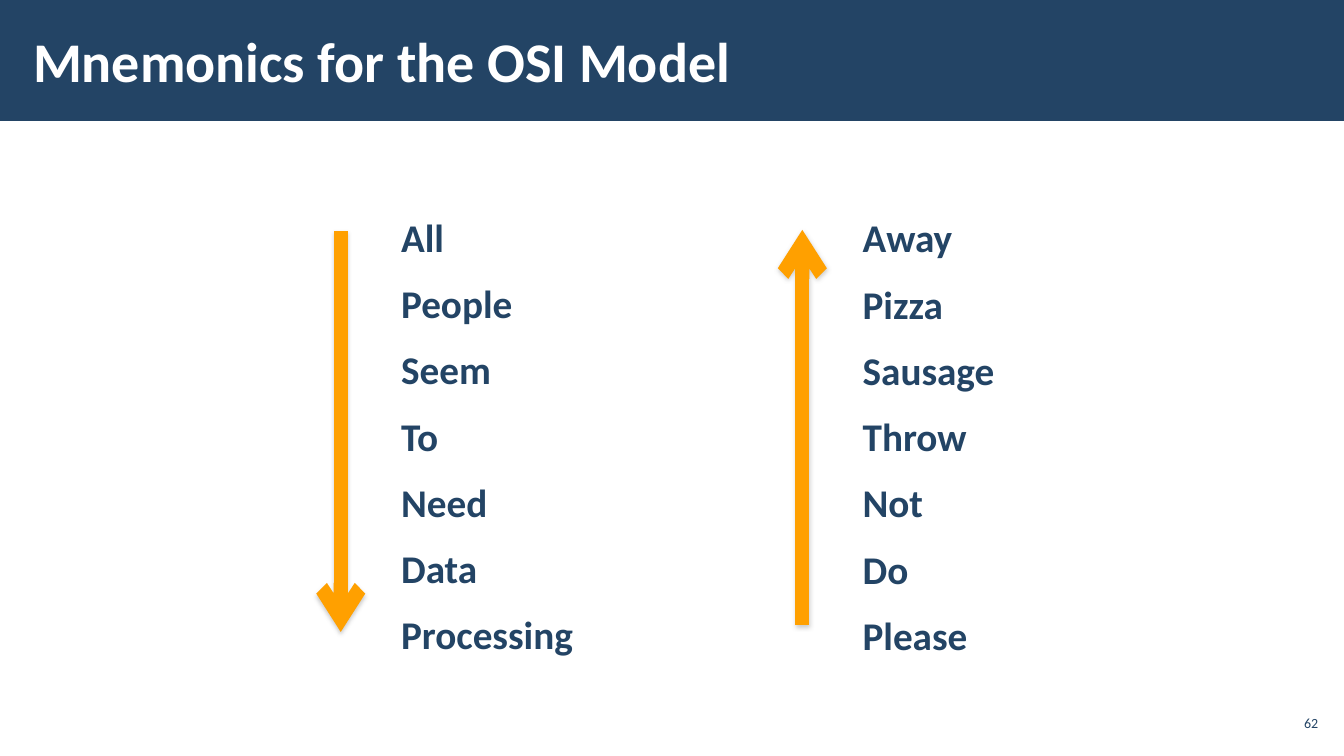
from lxml.etree import SubElement
from pptx import Presentation
from pptx.dml.color import RGBColor
from pptx.enum.shapes import MSO_CONNECTOR, MSO_SHAPE
from pptx.enum.text import MSO_ANCHOR, PP_ALIGN
from pptx.oxml.ns import qn
from pptx.util import Pt

COLORS = {"navy": "234465", "white": "FFFFFF", "amber": "FFA000", "shadow": "808080"}
FONT = "Calibri"
PAGE_WIDTH, PAGE_HEIGHT = 960, 540
TOP_DOWN = ["All", "People", "Seem", "To", "Need", "Data", "Processing"]
BOTTOM_UP = ["Away", "Pizza", "Sausage", "Throw", "Not", "Do", "Please"]


def color(name):
    return RGBColor.from_string(COLORS[name])


def set_font(para, size, color_name, bold=False):
    para.font.name = FONT
    para.font.size = Pt(size)
    para.font.bold = bold
    para.font.color.rgb = color(color_name)


def add_text_frame(page, left, top, width, height, anchor=MSO_ANCHOR.TOP):
    box = page.shapes.add_textbox(Pt(left), Pt(top), Pt(width), Pt(height))
    frame = box.text_frame
    frame.word_wrap = True
    frame.vertical_anchor = anchor
    return frame


def add_title_band(page, left, top, width, height):
    band = page.shapes.add_shape(MSO_SHAPE.RECTANGLE, Pt(left), Pt(top), Pt(width), Pt(height))
    band.shadow.inherit = False
    band.fill.solid()
    band.fill.fore_color.rgb = color("navy")
    band.line.fill.background()

    frame = add_text_frame(page, left + 15, top + 8, 749, height - 16.4, MSO_ANCHOR.MIDDLE)
    frame.margin_left = frame.margin_right = Pt(8.64)
    para = frame.paragraphs[0]
    para.text = "Mnemonics for the OSI Model"
    set_font(para, 40, "white", bold=True)


def add_page_number(page, left, top, width, height):
    frame = add_text_frame(page, left, top, width, height, MSO_ANCHOR.MIDDLE)
    frame.margin_left = frame.margin_right = Pt(3)
    para = frame.paragraphs[0]
    para.text = "62"
    para.alignment = PP_ALIGN.RIGHT
    set_font(para, 10, "navy")


def add_arrow(page, x, start_y, end_y):
    arrow = page.shapes.add_connector(
        MSO_CONNECTOR.STRAIGHT, Pt(x), Pt(start_y), Pt(x), Pt(end_y))
    arrow.line.color.rgb = color("amber")
    arrow.line.width = Pt(10)
    SubElement(arrow.line._get_or_add_ln(), qn("a:tailEnd"), type="arrow")

    # Soft shadow below the arrow
    effects = SubElement(arrow._element.spPr, qn("a:effectLst"))
    shadow = SubElement(effects, qn("a:outerShdw"), blurRad=str(Pt(3.1)),
                        dist=str(Pt(1.6)), dir="5400000", rotWithShape="0")
    tint = SubElement(shadow, qn("a:srgbClr"), val=COLORS["shadow"])
    SubElement(tint, qn("a:alpha"), val="38000")


def add_mnemonic(page, left, top, width, height, words, arrow_start, arrow_end):
    """Place the words, with an arrow along the left edge of their box."""
    frame = add_text_frame(page, left, top, width, height)
    for index, word in enumerate(words):
        para = frame.paragraphs[0] if index == 0 else frame.add_paragraph()
        para.text = word
        para._p.get_or_add_pPr().set("marL", str(Pt(36)))
        para.line_spacing = 1.05
        para.space_before = Pt(6 if index else 0)
        para.space_after = Pt(6)
        set_font(para, 28, "navy", bold=True)
    add_arrow(page, left, top + arrow_start, top + arrow_end)


def main():
    deck = Presentation()
    deck.slide_width, deck.slide_height = Pt(PAGE_WIDTH), Pt(PAGE_HEIGHT)
    page = deck.slides.add_slide(deck.slide_layouts[6])

    add_title_band(page, 0, 0, PAGE_WIDTH, 86.4)
    # Layers read downwards, then upwards
    add_mnemonic(page, 243.4, 147, 198, 356.4, TOP_DOWN, 18, 304.4)
    add_mnemonic(page, 573.1, 147.5, 198, 356.4, BOTTOM_UP, 299, 16.7)
    add_page_number(page, 910.8, 504, 33.8, 24.5)

    deck.save("out.pptx")


if __name__ == "__main__":
    main()
